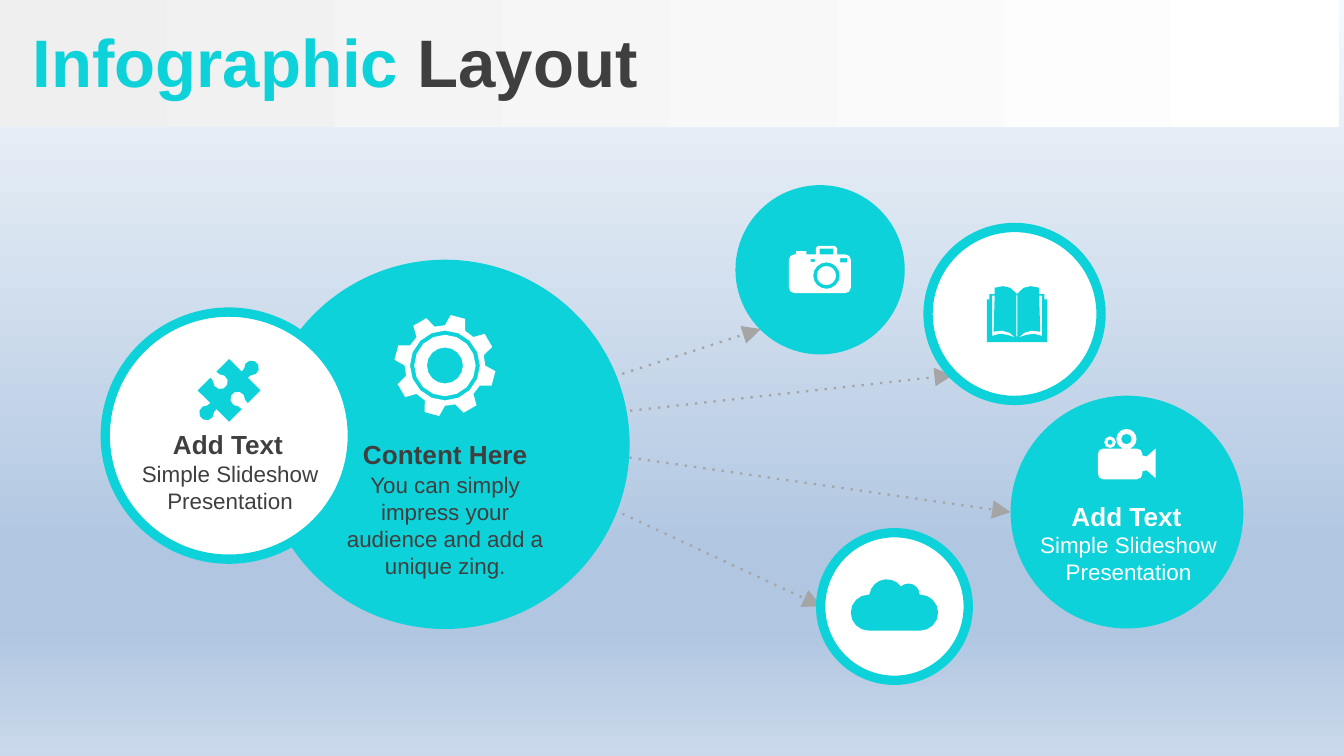
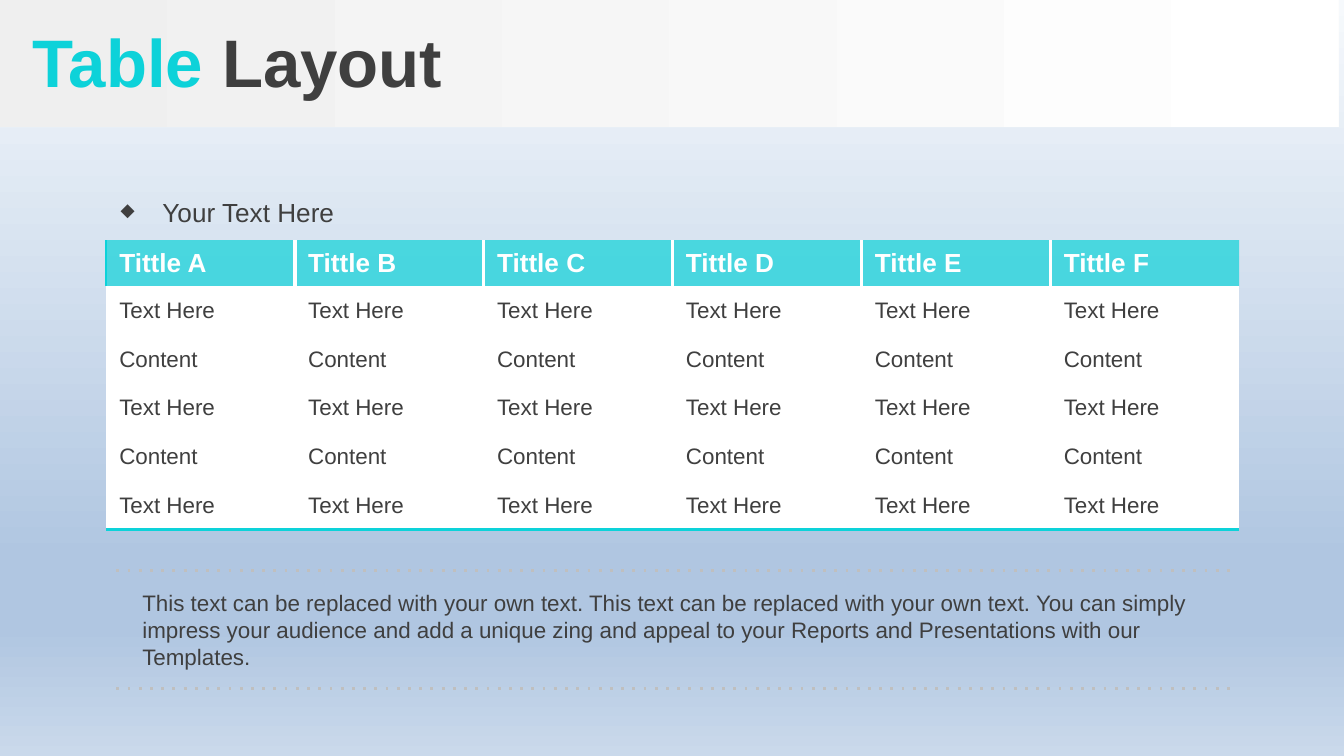
"""Builds an infographic slide and a table slide that share one look."""
from dataclasses import dataclass
from math import ceil, cos, radians, sin

from lxml import etree
from pptx import Presentation
from pptx import util as u
from pptx.dml.color import RGBColor
from pptx.enum import shapes, text
from pptx.oxml.ns import qn

CYAN, DARK, WHITE = "0DD2D9", "3F3F3F", "FFFFFF"
ARROW_GREY, RULE_GREY = "A5A5A5", "BFBFBF"
BACKGROUND = [(0, "F6F9FC"), (74, "B0C6E1"), (83, "B0C6E1"), (100, "CAD9EB")]
BAND = [(0, "EFEFEF"), (100, "FFFFFF")]
FONT = "Arial"
Point = tuple[float, float]
Outline = list[Point]


@dataclass
class Disc:
    x: float
    y: float
    size: float
    ringed: bool = False


@dataclass
class Label:
    x: float
    y: float
    w: float
    h: float
    words: str
    size: int = 12
    color: str = DARK
    bold: bool = False
    align: text.PP_ALIGN = text.PP_ALIGN.CENTER
    anchor: text.MSO_ANCHOR = text.MSO_ANCHOR.TOP


@dataclass
class Icon:
    outlines: list[Outline]
    color: str
    rotation: int = 0


def rgb(value: str) -> RGBColor:
    return RGBColor.from_string(value)


def sub(parent, tag: str, **attributes):
    return etree.SubElement(parent, qn(tag), attributes)


def style_run(r, size: int, color: str, bold: bool = False) -> None:
    r.font.name, r.font.size, r.font.bold = FONT, u.Pt(size), bold
    r.font.color.rgb = rgb(color)


def set_gradient(fill, element, stops: list[tuple[int, str]], angle: int) -> None:
    fill.gradient()
    fill.gradient_angle = angle
    stop_list = element.xpath(".//a:gsLst")[0]
    for old in list(stop_list):
        stop_list.remove(old)
    for percent, color in stops:
        stop = sub(stop_list, "a:gs", pos=str(percent * 1000))
        sub(stop, "a:srgbClr", val=color)


def add_line(s, start: Point, end: Point, color: str, width: float, arrow: bool = False) -> None:
    sp = s.shapes.add_connector(shapes.MSO_CONNECTOR.STRAIGHT, *map(u.Cm, start + end))
    sp.line.color.rgb, sp.line.width = rgb(color), u.Pt(width)
    ln = sp.element.spPr.find(qn("a:ln"))
    sub(ln, "a:prstDash", val="dot")
    if arrow:
        sub(ln, "a:tailEnd", type="triangle", w="lg", len="lg")
    sub(sp.element.spPr, "a:effectLst")


def add_disc(s, disc: Disc) -> None:
    sp = s.shapes.add_shape(shapes.MSO_SHAPE.OVAL, *map(u.Cm, (disc.x, disc.y, disc.size, disc.size)))
    sp.shadow.inherit = False
    sp.fill.solid()
    sp.fill.fore_color.rgb = rgb(WHITE if disc.ringed else CYAN)
    if disc.ringed:
        sp.line.color.rgb, sp.line.width = rgb(CYAN), u.Pt(5)
    else:
        sp.line.fill.background()


def add_label(s, label: Label):
    sp = s.shapes.add_textbox(*map(u.Cm, (label.x, label.y, label.w, label.h)))
    tf = sp.text_frame
    tf.word_wrap, tf.vertical_anchor = True, label.anchor
    tf.text = label.words
    p = tf.paragraphs[0]
    p.alignment = label.align
    style_run(p.runs[0], label.size, label.color, label.bold)
    return p


def add_icon(s, icon: Icon) -> None:
    paths = [[(u.Cm(x), u.Cm(y)) for x, y in outline] for outline in icon.outlines]
    builder = s.shapes.build_freeform(*paths[0][0], scale=1.0)
    for i, points in enumerate(paths):
        if i:
            builder.move_to(*points[0])
        builder.add_line_segments(points[1:], close=True)
    sp = builder.convert_to_shape()
    sp.shadow.inherit = False
    sp.rotation = icon.rotation
    sp.fill.solid()
    sp.fill.fore_color.rgb = rgb(icon.color)
    sp.line.fill.background()


def arc(cx: float, cy: float, radius: float, start: float = 0, end: float = 360) -> Outline:
    steps = ceil(abs(end - start) / (45 if radius < 0.15 else 22.5))
    angles = [radians(start + (end - start) * i / steps) for i in range(steps + 1)]
    return [(cx + radius * cos(a), cy + radius * sin(a)) for a in angles]


def box(x: float, y: float, w: float, h: float) -> Outline:
    return [(x, y), (x + w, y), (x + w, y + h), (x, y + h)]


def shift(points: Outline, cx: float, cy: float, sx: int = 1, sy: int = 1) -> Outline:
    return [(cx + sx * x, cy + sy * y) for x, y in points]


def gear(cx: float, cy: float) -> Icon:
    corners = [(-15, 0.76), (-8.5, 0.96), (8.5, 0.96), (15, 0.76)]
    teeth = [(cx + radius * cos(radians(middle + turn)), cy + radius * sin(radians(middle + turn)))
             for middle in range(-75, 285, 45) for turn, radius in corners]
    return Icon([teeth] + [arc(cx, cy, radius) for radius in (0.66, 0.58, 0.34)], WHITE)


def puzzle(cx: float, cy: float) -> Icon:
    half = [(-0.42, -0.42), (-0.08, -0.42), *arc(0, -0.6, 0.14, 130, 410), (0.08, -0.42), (0.42, -0.42),
            (0.42, -0.08), *arc(0.23, 0, 0.14, -40, -320), (0.42, 0.08)]
    return Icon([shift(half, cx, cy) + shift(half, cx, cy, -1, -1)], CYAN, 45)


def camera() -> Icon:
    body = [*arc(15.01, 4.91, 0.1, 180, 270), (15.04, 4.81), (15.04, 4.75), (15.24, 4.75), (15.24, 4.81),
            (15.42, 4.81), (15.42, 4.69), (15.46, 4.65), (15.78, 4.65), (15.82, 4.69), (15.82, 4.81),
            *arc(15.98, 4.91, 0.1, -90, 0), *arc(15.98, 5.44, 0.1, 0, 90), *arc(15.01, 5.44, 0.1, 90, 180)]
    return Icon([body, box(15.49, 4.7, 0.26, 0.11), box(15.32, 4.9, 0.08, 0.05),
                 box(15.88, 4.88, 0.13, 0.08), arc(15.62, 5.21, 0.25), arc(15.62, 5.21, 0.18)], WHITE)


def movie_camera() -> Icon:
    body = [*arc(20.85, 8.58, 0.1, 180, 270), *arc(21.49, 8.58, 0.1, -90, 0),
            (21.59, 8.61), (21.67, 8.63), (21.84, 8.48), (21.84, 9.04), (21.67, 8.89), (21.59, 8.91),
            *arc(21.49, 8.96, 0.1, 0, 90), *arc(20.85, 8.96, 0.1, 90, 180)]
    reels = [arc(*reel) for reel in ((20.98, 8.36, 0.11), (20.98, 8.36, 0.05),
                                     (21.29, 8.3, 0.19), (21.29, 8.3, 0.1))]
    return Icon([body] + reels, WHITE)


def cloud() -> Icon:
    return Icon([arc(16.42, 11.58, 0.34, 90, 270) + arc(16.76, 11.28, 0.33, 188, 324)
                 + arc(17.17, 11.24, 0.21, 225, 360) + arc(17.39, 11.58, 0.34, -90, 90)], CYAN)


def book(cx: float, top: float) -> Icon:
    cover = [(0, 0.15), (0.05, 0.1), (0.13, 0.03), (0.26, 0), (0.42, 0.03), (0.42, 0.15),
             (0.52, 0.15), (0.52, 0.25), (0.57, 0.25), (0.57, 1.06)]
    page = [(0.42, 0.18), (0.47, 0.18), (0.47, 0.94), (0.32, 0.9), (0.18, 0.92), (0.03, 0.97),
            (0.14, 0.88), (0.28, 0.84), (0.44, 0.86)]
    return Icon([shift(cover, cx, top) + shift(cover, cx, top, -1)[::-1],
                 shift(page, cx, top), shift(page, cx, top, -1), box(cx - 0.01, top + 0.17, 0.02, 0.78)], CYAN)


def titled_slide(prs, accent: str, rest: str):
    s = prs.slides.add_slide(prs.slide_layouts[5])
    sp = s.shapes.title
    sp.left, sp.top, sp.width, sp.height = map(u.Cm, (0, 0.06, 25.4, 2.16))
    tf = sp.text_frame
    tf.auto_size, tf.vertical_anchor = text.MSO_AUTO_SIZE.NONE, text.MSO_ANCHOR.MIDDLE
    tf.margin_left = u.Cm(0.62)
    tf.text = accent + " "
    p = tf.paragraphs[0]
    p.alignment = text.PP_ALIGN.LEFT
    p.add_run().text = rest
    for r, color in zip(p.runs, (CYAN, DARK)):
        style_run(r, 36, color, True)
    return s


def dress_master(prs, s) -> None:
    master = prs.slide_master
    set_gradient(master.background.fill, master.element, BACKGROUND, 270)
    sp = s.shapes.add_shape(shapes.MSO_SHAPE.RECTANGLE, 0, 0, u.Cm(25.3), u.Cm(2.4))
    sp.shadow.inherit = False
    sp.line.fill.background()
    set_gradient(sp.fill, sp.element, BAND, 0)
    master.shapes.element.insert(2, sp.element)


def set_borders(cell, **sides: tuple[str, float]) -> None:
    tc_pr = cell._tc.get_or_add_tcPr()
    for i, side in enumerate("LRTB"):
        ln = etree.Element(qn("a:ln" + side))
        if side in sides:
            color, width = sides[side]
            ln.set("w", str(u.Pt(width)))
            sub(sub(ln, "a:solidFill"), "a:srgbClr", val=color)
        else:
            sub(ln, "a:noFill")
        tc_pr.insert(i, ln)


def add_text_table(s, rows: list[list[str]]) -> None:
    last_row, last_column = len(rows) - 1, len(rows[0]) - 1
    frame = s.shapes.add_table(len(rows), len(rows[0]), *map(u.Cm, (2, 4.54, 21.42, 5.47)))
    table = frame.table
    table.first_row = table.horz_banding = False
    for column in table.columns:
        column.width = u.Cm(3.57)
    for i, words in enumerate(rows):
        header = i == 0
        table.rows[i].height = u.Cm(0.87 if header else 0.92)
        for j, word in enumerate(words):
            cell = table.cell(i, j)
            cell.text, cell.vertical_anchor = word, text.MSO_ANCHOR.MIDDLE
            style_run(cell.text_frame.paragraphs[0].runs[0], 14 if header else 12,
                      WHITE if header else DARK, header)
            cell.fill.solid()
            cell.fill.fore_color.rgb = rgb(CYAN if header else WHITE)
            if header:
                sub(cell._tc.tcPr.xpath(".//a:srgbClr")[0], "a:alpha", val="70000")
            sides = {}
            if j > 0:
                sides["L"] = (WHITE, 2.25)
            elif header:
                sides["L"] = (CYAN, 1)
            if j < last_column:
                sides["R"] = (WHITE, 2.25)
            if i == last_row:
                sides["B"] = (CYAN, 2.25)
            set_borders(cell, **sides)


def build_infographic(prs) -> None:
    s = titled_slide(prs, "Infographic", "Layout")
    dress_master(prs, s)
    for end in ((14.38, 6.22), (18.01, 7.09), (19.1, 9.68), (15.52, 11.46)):
        add_line(s, (8.41, 8.15), end, ARROW_GREY, 1.25, arrow=True)
    for disc in (Disc(4.92, 4.91, 6.98), Disc(1.99, 5.9, 4.67, True), Disc(13.9, 3.5, 3.2),
                 Disc(17.54, 4.3, 3.27, True), Disc(15.51, 10.07, 2.79, True), Disc(19.1, 7.48, 4.4)):
        add_disc(s, disc)
    for x, y, color in ((1.92, 7.98, DARK), (18.9, 9.33, WHITE)):
        add_label(s, Label(x, y, 4.78, 0.86, "Add Text", 14, color, True))
        add_label(s, Label(x + 0.04, y + 0.59, 4.78, 1.27, "Simple Slideshow Presentation", 12, color))
    add_label(s, Label(6.22, 8.15, 4.39, 0.86, "Content Here", 14, bold=True, anchor=text.MSO_ANCHOR.MIDDLE))
    add_label(s, Label(6.23, 8.79, 4.37, 2.31, "You can simply impress your audience and add a unique zing."))
    for icon in (gear(8.41, 6.91), camera(), movie_camera(), cloud(), puzzle(4.33, 7.38), book(19.22, 5.41)):
        add_icon(s, icon)


def build_table(prs) -> None:
    s = titled_slide(prs, "Table", "Layout")
    add_text_table(s, [["Tittle " + letter for letter in "ABCDEF"]]
                   + [["Content" if i % 2 else "Text Here"] * 6 for i in range(5)])
    add_label(s, Label(2.44, 11.01, 20.5, 1.8, "This text can be replaced with your own text. "
                       "This text can be replaced with your own text. You can simply impress your "
                       "audience and add a unique zing and appeal to your Reports and Presentations "
                       "with our Templates.", align=text.PP_ALIGN.LEFT))
    for y in (10.78, 13.01):
        add_line(s, (2.2, y), (23.3, y), RULE_GREY, 1.5)
    p = add_label(s, Label(2.03, 3.58, 5.28, 0.86, "Your Text Here", 14, align=text.PP_ALIGN.LEFT))
    p_pr = p._p.get_or_add_pPr()
    p_pr.set("marL", str(u.Cm(0.79)))
    p_pr.set("indent", str(-u.Cm(0.79)))
    sub(sub(p_pr, "a:buClr"), "a:srgbClr", val=DARK)
    sub(p_pr, "a:buSzPct", val="70000")
    sub(p_pr, "a:buChar", char="◆")


def main() -> None:
    prs = Presentation()
    prs.slide_width, prs.slide_height = u.Cm(25.4), u.Cm(14.29)
    build_infographic(prs)
    build_table(prs)
    prs.save("out.pptx")


if __name__ == "__main__":
    main()
